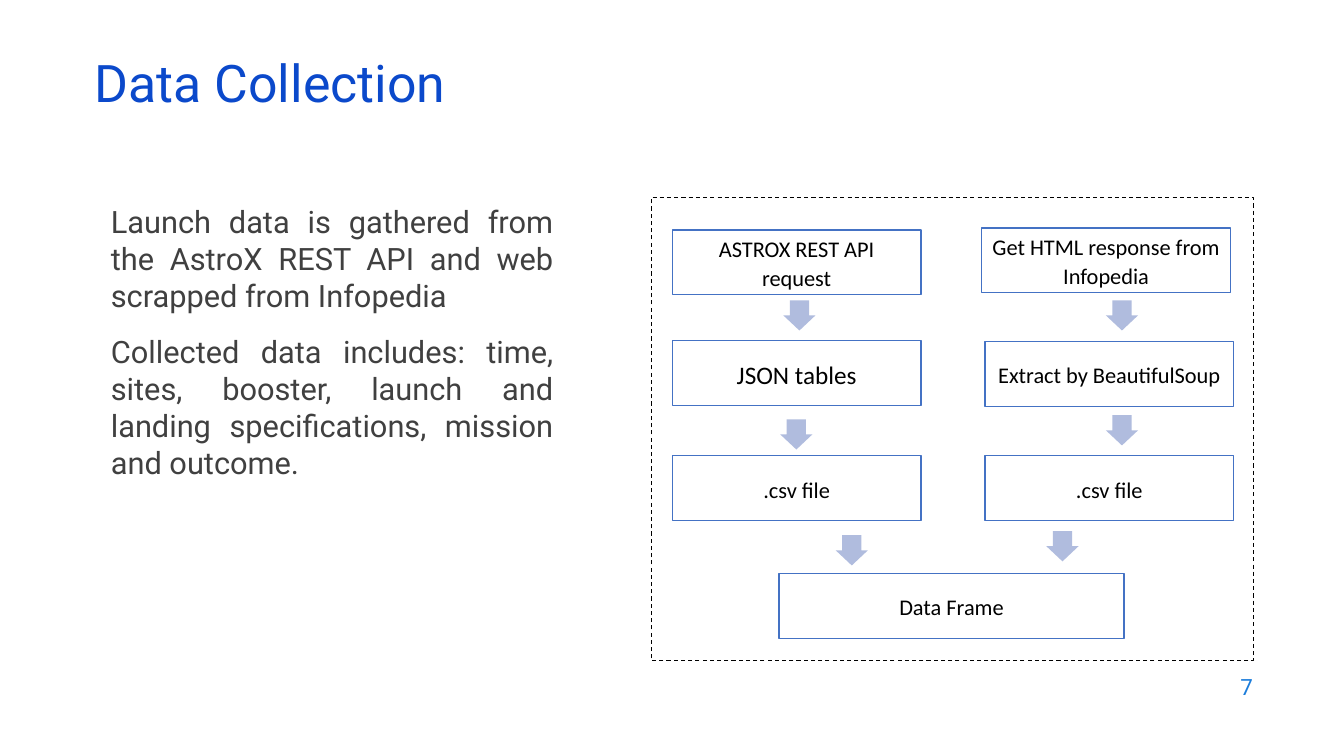
from pptx import Presentation
from pptx.dml.color import RGBColor
from pptx.enum.dml import MSO_LINE
from pptx.enum.shapes import MSO_SHAPE
from pptx.enum.text import MSO_ANCHOR, MSO_AUTO_SIZE, PP_ALIGN
from pptx.oxml import parse_xml
from pptx.oxml.ns import nsdecls
from pptx.util import Pt

RECTANGLE, ARROW = MSO_SHAPE.RECTANGLE, MSO_SHAPE.RIGHT_ARROW
TOP, MIDDLE = MSO_ANCHOR.TOP, MSO_ANCHOR.MIDDLE
LEFT, CENTER, RIGHT, JUSTIFY = (
    PP_ALIGN.LEFT, PP_ALIGN.CENTER, PP_ALIGN.RIGHT, PP_ALIGN.JUSTIFY)
DASH, NO_AUTOFIT = MSO_LINE.DASH, MSO_AUTO_SIZE.NONE


def color(hex_value):
    return RGBColor.from_string(hex_value)


def write(shape, texts, anchor, paragraph_format, size, font_name, text_color):
    frame = shape.text_frame
    frame.word_wrap = True
    frame.auto_size = NO_AUTOFIT
    frame.vertical_anchor = anchor
    for index, text in enumerate(texts):
        paragraph = frame.paragraphs[0] if index == 0 else frame.add_paragraph()
        paragraph.text = text
        for name, value in paragraph_format.items():
            setattr(paragraph, name, value)
        if index == 0:
            paragraph.space_before = Pt(0)
        properties = paragraph._p.get_or_add_pPr()
        properties.set("marL", "0")
        properties.set("indent", "0")
        properties.append(parse_xml(f"<a:buNone {nsdecls('a')}/>"))
        font_format = {"size": Pt(size), "name": font_name, "bold": False}
        for name, value in font_format.items():
            setattr(paragraph.font, name, value)
        paragraph.font.color.rgb = color(text_color)


presentation = Presentation()
presentation.slide_width, presentation.slide_height = Pt(960), Pt(540)
slide = presentation.slides.add_slide(presentation.slide_layouts[1])
shapes = slide.shapes

# Title and body text
title, body = shapes.title, slide.placeholders[1]
for placeholder, (left, top, width, height) in (
        (title, (60.5, 42.5, 828, 43.2)), (body, (72, 141, 330.5, 331))):
    placeholder.left, placeholder.top = Pt(left), Pt(top)
    placeholder.width, placeholder.height = Pt(width), Pt(height)
write(title, ["Data Collection"], MIDDLE,
      {"alignment": LEFT, "line_spacing": 0.7}, 37, "Roboto", "0B49CB")
write(body, [
    "Launch data is gathered from the AstroX REST API and web scrapped from Infopedia",
    "Collected data includes: time, sites, booster, launch and landing "
    "specifications, mission and outcome.",
], TOP, {"alignment": JUSTIFY, "line_spacing": 1.0, "space_before": Pt(14)},
    22, "Roboto", "404040")

# Slide number
number = shapes.add_textbox(Pt(686), Pt(474.5), Pt(216), Pt(31.7))
write(number, ["7"], MIDDLE, {"alignment": RIGHT}, 16, "Roboto", "1C7DDB")

# Dashed frame around the flow
frame_box = shapes.add_shape(RECTANGLE, Pt(465.2), Pt(141), Pt(430), Pt(331))
frame_box.shadow.inherit = False
frame_box.fill.background()
frame_box.line.color.rgb = color("000000")
frame_box.line.width = Pt(0.75)
frame_box.line.dash_style = DASH

# Flow steps: text, left, top, width, font size
STEP_WIDTH, STEP_HEIGHT = 177.8, 46.3
steps = [
    ("ASTROX REST API request", 480.2, 164.2, STEP_WIDTH, 16),
    ("Get HTML response from Infopedia", 701.2, 162.8, STEP_WIDTH, 16),
    ("JSON tables", 480.2, 243.4, STEP_WIDTH, 18),
    ("Extract by BeautifulSoup", 703.5, 244, STEP_WIDTH, 16),
    (".csv file", 480.2, 325.5, STEP_WIDTH, 16),
    (".csv file", 703.5, 325.5, STEP_WIDTH, 16),
    ("Data Frame", 556.5, 409.6, 246.3, 16),
]
for text, left, top, width, size in steps:
    step = shapes.add_shape(RECTANGLE, Pt(left), Pt(top), Pt(width), Pt(STEP_HEIGHT))
    step.shadow.inherit = False
    step.fill.solid()
    step.fill.fore_color.rgb = color("FFFFFF")
    step.line.color.rgb = color("4472C4")
    step.line.width = Pt(1)
    write(step, [text], MIDDLE,
          {"alignment": CENTER, "line_spacing": 1.07, "space_after": Pt(8)},
          size, "Calibri", "000000")

# Downward arrows between the steps
for left, top in ((560.2, 213.8), (790.6, 213.8), (558, 298.8),
                  (790.6, 295.9), (597.6, 381.6), (748.1, 378.7)):
    arrow = shapes.add_shape(ARROW, Pt(left), Pt(top), Pt(21.6), Pt(23))
    arrow.rotation = 90
    arrow.adjustments[0], arrow.adjustments[1] = 0.6, 0.5
    arrow.shadow.inherit = False
    arrow.fill.solid()
    arrow.fill.fore_color.rgb = color("B0BCDE")
    arrow.line.fill.background()

presentation.save("out.pptx")
